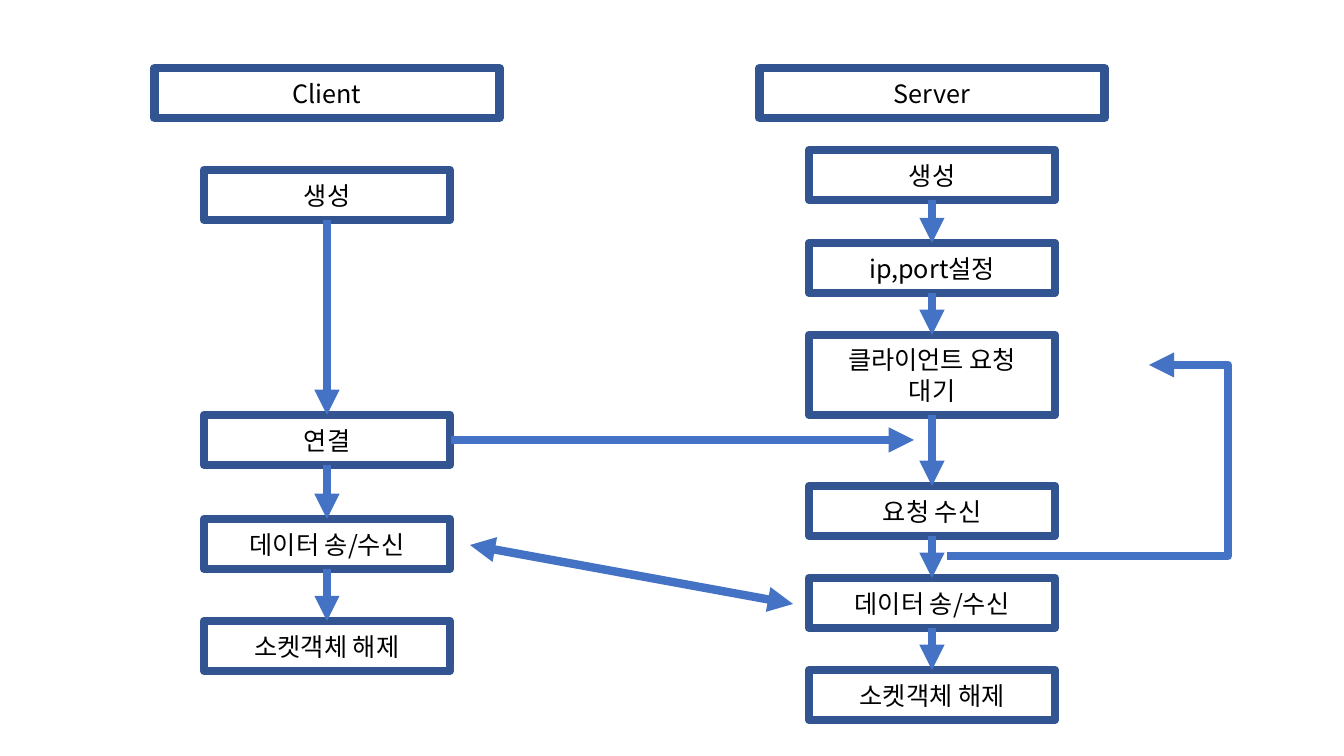
from lxml import etree
from pptx import Presentation
from pptx.dml.color import RGBColor
from pptx.enum.shapes import MSO_CONNECTOR, MSO_SHAPE
from pptx.enum.text import MSO_ANCHOR, PP_ALIGN
from pptx.oxml.ns import qn
from pptx.util import Emu, Pt

RECTANGLE = MSO_SHAPE.RECTANGLE
STRAIGHT, ELBOW = MSO_CONNECTOR.STRAIGHT, MSO_CONNECTOR.ELBOW
CENTER, MIDDLE = PP_ALIGN.CENTER, MSO_ANCHOR.MIDDLE
BOTTOM_SITE, TOP_SITE = 2, 0

# Per column: heading, centre x, steps as (text, top, height)
COLUMNS = [
    ("Client", 327, [
        ("생성", 170, 50),
        ("연결", 415, 50),
        ("데이터 송/수신", 519, 50),
        ("소켓객체 해제", 621, 50),
    ]),
    ("Server", 932, [
        ("생성", 150, 50),
        ("ip,port설정", 243, 50),
        ("클라이언트 요청\n대기", 335, 80),
        ("요청 수신", 486, 50),
        ("데이터 송/수신", 578, 50),
        ("소켓객체 해제", 670, 50),
    ]),
]
CONNECT_REQUEST = ((451, 440), (914, 440))
DATA_EXCHANGE = ((470, 545), (793, 604))
WAIT_AGAIN = ((947, 556), (1149, 365))
WAIT_AGAIN_TURN_X = 1228

SLIDE_WIDTH, SLIDE_HEIGHT = 1344, 756
HEADING_TOP, HEADING_WIDTH, HEADING_HEIGHT = 68, 345, 50
STEP_WIDTH = 246
FONT, FONT_SIZE, LINE_WIDTH = "Noto Sans CJK KR", Pt(18), Pt(6)
BOX_LINE, ARROW_LINE, TEXT_COLOR = "325491", "4472C4", "000000"


def px(length):
    return Emu(round(length * 914400 / 100.8))


def color(hex_value):
    return RGBColor.from_string(hex_value)


def add_box(slide, text, center_x, top, width, height):
    box = slide.shapes.add_shape(
        RECTANGLE, px(center_x - width / 2), px(top), px(width), px(height))
    box.shadow.inherit = False
    box.fill.background()
    box.line.color.rgb = color(BOX_LINE)
    box.line.width = LINE_WIDTH
    frame = box.text_frame
    frame.text = text
    frame.word_wrap = True
    frame.vertical_anchor = MIDDLE
    for paragraph in frame.paragraphs:
        paragraph.alignment = CENTER
        for run in paragraph.runs:
            run.font.name = FONT
            run.font.size = FONT_SIZE
            run.font.color.rgb = color(TEXT_COLOR)
            east_asian = etree.SubElement(run.font._element, qn("a:ea"))
            east_asian.set("typeface", FONT)
    return box


def add_arrow(slide, start, end, kind=STRAIGHT, ends=("tailEnd",)):
    """Draw a connector with a triangle at each of the named line ends."""
    arrow = slide.shapes.add_connector(kind, *map(px, start + end))
    arrow.line.color.rgb = color(ARROW_LINE)
    arrow.line.width = LINE_WIDTH
    for line_end in ends:
        etree.SubElement(arrow.line._ln, qn(f"a:{line_end}")).set("type", "triangle")
    etree.SubElement(arrow._element.spPr, qn("a:effectLst"))
    return arrow


def add_column(slide, heading, center_x, steps):
    add_box(slide, heading, center_x, HEADING_TOP, HEADING_WIDTH, HEADING_HEIGHT)
    boxes = [add_box(slide, text, center_x, top, STEP_WIDTH, height)
             for text, top, height in steps]
    for upper, lower in zip(boxes, boxes[1:]):
        arrow = add_arrow(slide, (0, 0), (0, 0))
        arrow.begin_connect(upper, BOTTOM_SITE)
        arrow.end_connect(lower, TOP_SITE)


def set_turn(elbow, start, end, turn_x):
    """Move the vertical part of an elbow connector to turn_x."""
    share = (turn_x - start[0]) / (end[0] - start[0])
    geometry = elbow._element.spPr.find(qn("a:prstGeom"))
    adjustments = geometry.find(qn("a:avLst"))
    if adjustments is None:
        adjustments = etree.SubElement(geometry, qn("a:avLst"))
    guide = etree.SubElement(adjustments, qn("a:gd"))
    guide.set("name", "adj1")
    guide.set("fmla", f"val {round(share * 100000)}")


def main():
    deck = Presentation()
    deck.slide_width, deck.slide_height = px(SLIDE_WIDTH), px(SLIDE_HEIGHT)
    slide = deck.slides.add_slide(deck.slide_layouts[6])
    for heading, center_x, steps in COLUMNS:
        add_column(slide, heading, center_x, steps)
    add_arrow(slide, *CONNECT_REQUEST)
    add_arrow(slide, *DATA_EXCHANGE, ends=("headEnd", "tailEnd"))
    wait_again = add_arrow(slide, *WAIT_AGAIN, kind=ELBOW)
    set_turn(wait_again, *WAIT_AGAIN, WAIT_AGAIN_TURN_X)
    deck.save("out.pptx")


if __name__ == "__main__":
    main()
